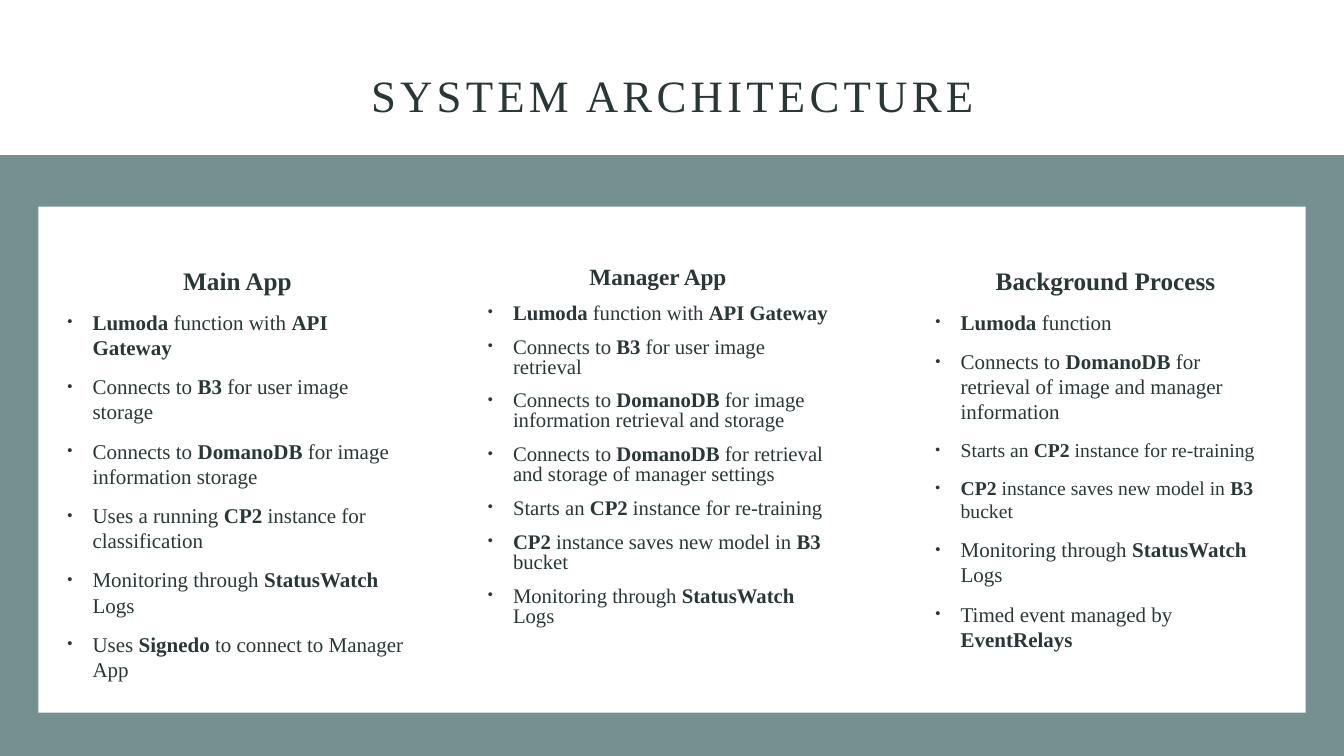
import pptx
import pptx.util
import pptx.dml.color
import pptx.enum.shapes
import pptx.enum.text
import pptx.oxml
from pptx.util import Inches

FONT = "Times New Roman"
INK = "293737"
SAGE = "749090"
WHITE = "FFFFFF"
BULLET_XML = (
    '<a:buSzPct xmlns:a="http://schemas.openxmlformats.org/drawingml/2006/main" val="70000"/>',
    '<a:buFont xmlns:a="http://schemas.openxmlformats.org/drawingml/2006/main" typeface="Arial"/>',
    '<a:buChar xmlns:a="http://schemas.openxmlformats.org/drawingml/2006/main" char="•"/>',
)


def color(value):
    return pptx.dml.color.RGBColor.from_string(value)


def add_span(para, text, size, bold=False):
    span = para.add_run()
    span.text = text
    span.font.name = FONT
    span.font.size = pptx.util.Pt(size)
    span.font.bold = bold
    span.font.color.rgb = color(INK)
    return span


deck = pptx.Presentation()
deck.slide_width = Inches(13.33)
deck.slide_height = Inches(7.5)
page = deck.slides.add_slide(deck.slide_layouts[6])

title = page.shapes.add_textbox(Inches(1.48), Inches(0.5), Inches(10.38), Inches(0.76))
title.text_frame.word_wrap = True
title.text_frame.vertical_anchor = pptx.enum.text.MSO_ANCHOR.BOTTOM
para = title.text_frame.paragraphs[0]
para.alignment = pptx.enum.text.PP_ALIGN.CENTER
para.line_spacing = 0.9
span = add_span(para, "SYSTEM ARCHITECTURE", 32)
span.font._element.set("spc", "300")

panels = [
    (0, 1.54, 13.33, 5.96, SAGE),
    (0.38, 2.05, 12.57, 5.02, WHITE),
]
for left, top, width, height, fill in panels:
    panel = page.shapes.add_shape(
        pptx.enum.shapes.MSO_SHAPE.RECTANGLE,
        Inches(left), Inches(top), Inches(width), Inches(height),
    )
    panel.shadow.inherit = False
    panel.fill.solid()
    panel.fill.fore_color.rgb = color(fill)
    panel.line.fill.background()

gateway = "*Lumoda* function with *API Gateway*"
retrain = "Starts an *CP2* instance for re-training"
save_model = "*CP2 *instance saves new model in *B3 *bucket"
monitoring = "Monitoring through *StatusWatch* Logs"

columns = [
    (4.74, 2.61, 3.82, 0.8, "Manager App", 16.6, [
        (gateway, 14.8),
        ("Connects to *B3* for user image retrieval", 14.8),
        ("Connects to *DomanoDB* for image information retrieval and storage", 14.8),
        ("Connects to *DomanoDB* for retrieval and storage of manager settings", 14.8),
        (retrain, 14.8),
        (save_model, 14.8),
        (monitoring, 14.8),
    ]),
    (0.57, 2.58, 3.87, 1.0, "Main App", 18, [
        (gateway, 15),
        ("Connects to *B3* for user image storage", 15),
        ("Connects to *DomanoDB* for image information storage", 15),
        ("Uses a running *CP2* instance for classification", 15),
        (monitoring, 15),
        ("Uses *Signedo* to connect to Manager App", 15),
    ]),
    (9.18, 2.58, 3.82, 1.0, "Background Process", 18, [
        ("*Lumoda* function", 15),
        ("Connects to *DomanoDB* for retrieval of image and manager information", 15),
        (retrain, 14),
        (save_model, 14),
        (monitoring, 15),
        ("Timed event managed by *EventRelays*", 15),
    ]),
]

for left, top, height, spacing, heading, heading_size, items in columns:
    box = page.shapes.add_textbox(Inches(left), Inches(top), Inches(3.57), Inches(height))
    frame = box.text_frame
    frame.word_wrap = True
    para = frame.paragraphs[0]
    para.alignment = pptx.enum.text.PP_ALIGN.CENTER
    para.line_spacing = spacing
    para.space_before = pptx.util.Pt(10)
    add_span(para, heading, heading_size, True)
    for item, size in items:
        para = frame.add_paragraph()
        para.line_spacing = spacing
        para.space_before = pptx.util.Pt(10)
        properties = para._p.get_or_add_pPr()
        properties.set("marL", str(Inches(0.25)))
        properties.set("indent", str(-Inches(0.25)))
        for xml in BULLET_XML:
            properties.append(pptx.oxml.parse_xml(xml))
        for index, text in enumerate(item.split("*")):
            if text:
                add_span(para, text, size, index % 2 == 1)

deck.save("out.pptx")
